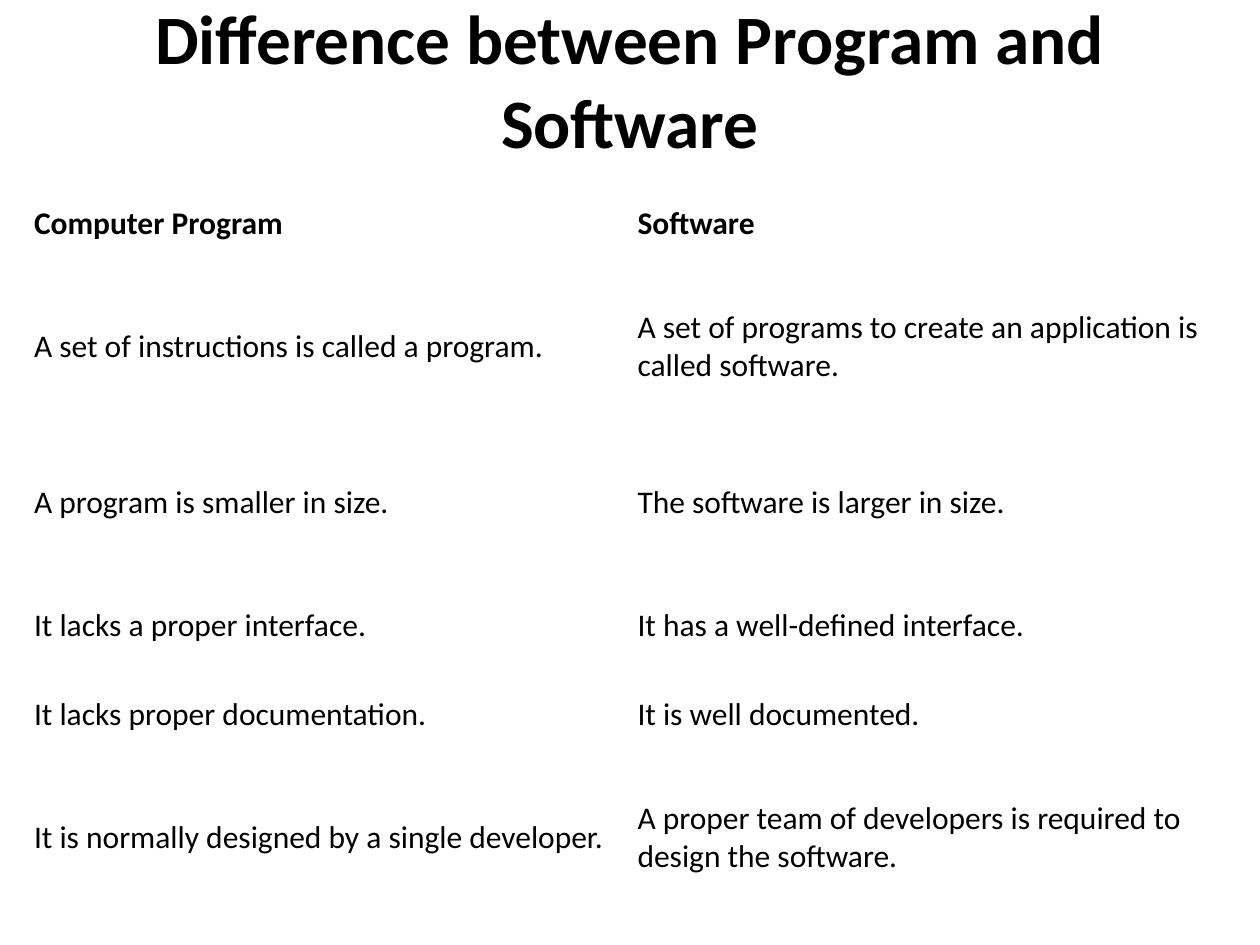
from lxml.etree import SubElement
from pptx import Presentation
from pptx.dml.color import RGBColor
from pptx.enum.text import MSO_ANCHOR, PP_ALIGN
from pptx.oxml.ns import qn
from pptx.util import Inches, Pt

FONT = "Calibri"
BLACK, WHITE = "000000", "FFFFFF"
SINGLE_ROW, DOUBLE_ROW = 0.71, 1.24
COLUMN_WIDTH = 4.79

# Row height, program text, software text
COMPARISON = [
    (SINGLE_ROW, "Computer Program", "Software"),
    (DOUBLE_ROW, "A set of instructions is called a program.",
     "A set of programs to create an application is called software."),
    (DOUBLE_ROW, "A program is smaller in size.", "The software is larger in size."),
    (SINGLE_ROW, "It lacks a proper interface.", "It has a well-defined interface."),
    (SINGLE_ROW, "It lacks proper documentation.", "It is well documented."),
    (DOUBLE_ROW, "It is normally designed by a single developer.",
     "A proper team of developers is required to design the software."),
]


def color(hex_value):
    return RGBColor.from_string(hex_value)


def add_run(paragraph, text, size, bold):
    run = paragraph.add_run()
    run.text = text
    run.font.name = FONT
    run.font.size = Pt(size)
    run.font.bold = bold
    run.font.color.rgb = color(BLACK)


def add_title(slide, text):
    box = slide.shapes.add_textbox(Inches(0.5), 0, Inches(9), Inches(1.25))
    frame = box.text_frame
    frame.word_wrap = True
    frame.vertical_anchor = MSO_ANCHOR.MIDDLE
    paragraph = frame.paragraphs[0]
    paragraph.alignment = PP_ALIGN.CENTER
    add_run(paragraph, text, 39.6, True)


def set_borders(cell, hex_value, width):
    properties = cell._tc.get_or_add_tcPr()
    # Border lines come before the fill in the cell properties
    for position, side in enumerate(("lnL", "lnR", "lnT", "lnB")):
        line = SubElement(properties, qn(f"a:{side}"), w=str(Pt(width)))
        fill = SubElement(line, qn("a:solidFill"))
        SubElement(fill, qn("a:srgbClr"), val=hex_value)
        properties.insert(position, line)


def fill_cell(cell, text, bold):
    cell.fill.solid()
    cell.fill.fore_color.rgb = color(WHITE)
    cell.vertical_anchor = MSO_ANCHOR.MIDDLE
    add_run(cell.text_frame.paragraphs[0], text, 18, bold)
    set_borders(cell, WHITE, 0.75)


def add_comparison_table(slide, rows):
    total_height = sum(height for height, *_ in rows)
    table = slide.shapes.add_table(
        len(rows), 2, Inches(0.17), Inches(1.42),
        Inches(2 * COLUMN_WIDTH), Inches(total_height)).table
    table.horz_banding = False
    for column in table.columns:
        column.width = Inches(COLUMN_WIDTH)
    for row_index, (height, *texts) in enumerate(rows):
        table.rows[row_index].height = Inches(height)
        for column_index, text in enumerate(texts):
            fill_cell(table.cell(row_index, column_index), text, row_index == 0)


def main():
    presentation = Presentation()
    presentation.slide_width = Inches(10)
    presentation.slide_height = Inches(7.5)
    slide = presentation.slides.add_slide(presentation.slide_layouts[6])

    # Background
    slide.background.fill.solid()
    slide.background.fill.fore_color.rgb = color(WHITE)

    # Title and comparison
    add_title(slide, "Difference between Program and Software")
    add_comparison_table(slide, COMPARISON)

    presentation.save("out.pptx")


if __name__ == "__main__":
    main()
